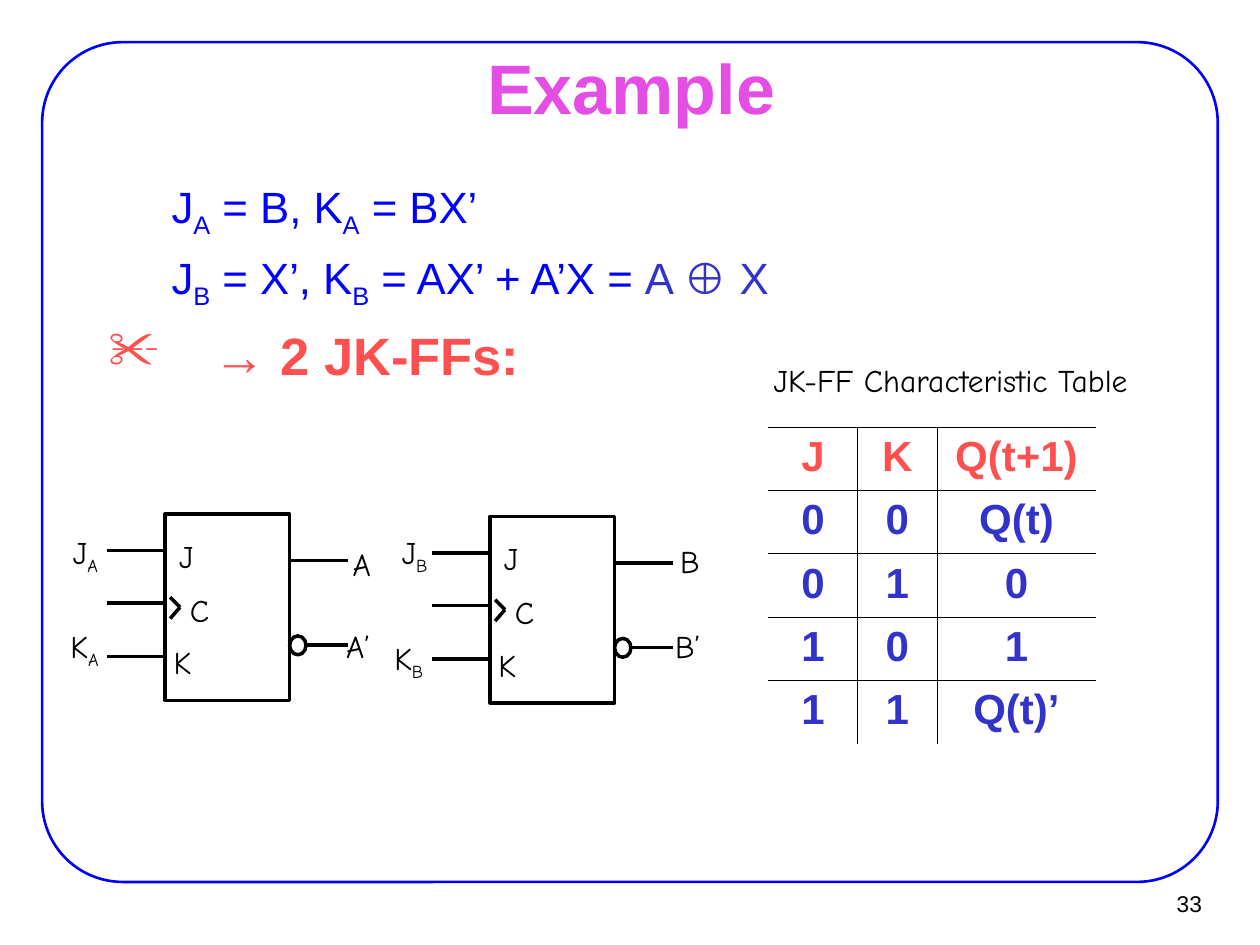
from lxml import etree
from pptx import Presentation
from pptx.dml.color import RGBColor
from pptx.enum.shapes import MSO_CONNECTOR, MSO_SHAPE
from pptx.enum.text import MSO_ANCHOR, MSO_AUTO_SIZE, PP_ALIGN
from pptx.oxml.ns import qn
from pptx.util import Cm, Pt

STRAIGHT = MSO_CONNECTOR.STRAIGHT
RECTANGLE, ROUNDED, OVAL = MSO_SHAPE.RECTANGLE, MSO_SHAPE.ROUNDED_RECTANGLE, MSO_SHAPE.OVAL
TOP, MIDDLE = MSO_ANCHOR.TOP, MSO_ANCHOR.MIDDLE
LEFT, CENTER, RIGHT = PP_ALIGN.LEFT, PP_ALIGN.CENTER, PP_ALIGN.RIGHT
FIT, FIXED = MSO_AUTO_SIZE.SHAPE_TO_FIT_TEXT, MSO_AUTO_SIZE.NONE

BLACK, BLUE, INDIGO, RED, PINK = "000000", "0000FF", "3333CC", "FF5050", "E44EE4"
SANS, COMIC = "Arial", "Comic Neue"
BOX_WIDTH, BOX_HEIGHT = 2.51, 3.76
PIN_X = 3.68


def color(value):
    """Turn a hex string into a colour."""
    return RGBColor.from_string(value)


def add_run(paragraph, text, size, value, font=SANS, bold=False, subscript=False):
    """Append one formatted run."""
    run = paragraph.add_run()
    run.text = text
    run.font.name = font
    run.font.size = Pt(size)
    run.font.bold = bold
    run.font.color.rgb = color(value)
    if subscript:
        run.font._element.set("baseline", "-25000")


def add_frame(slide, left, top, width, height, insets, wrap=True, anchor=TOP, fit=FIXED):
    """Add an empty text box and return its text frame."""
    frame = slide.shapes.add_textbox(Cm(left), Cm(top), Cm(width), Cm(height)).text_frame
    frame.margin_left = frame.margin_right = Cm(insets[0])
    frame.margin_top = frame.margin_bottom = Cm(insets[1])
    frame.word_wrap = wrap
    frame.vertical_anchor = anchor
    frame.auto_size = fit
    return frame


def add_label(slide, text, left, top, width, subscript="", align=LEFT):
    """Add a diagram label with an optional subscript."""
    height = 1.12 if subscript else 1.02
    frame = add_frame(slide, left, top, width, height, (0.25, 0.13), wrap=False, fit=FIT)
    paragraph = frame.paragraphs[0]
    paragraph.alignment = align
    add_run(paragraph, text, 18, BLACK, COMIC)
    if subscript:
        add_run(paragraph, subscript, 18, BLACK, COMIC, subscript=True)


def add_outline(slide, kind, left, top, width, height, value=BLACK, weight=2):
    """Add an unfilled preset shape."""
    shape = slide.shapes.add_shape(kind, Cm(left), Cm(top), Cm(width), Cm(height))
    shape.shadow.inherit = False
    shape.fill.background()
    shape.line.color.rgb = color(value)
    shape.line.width = Pt(weight)
    return shape


def add_line(slide, start_x, start_y, end_x, end_y):
    """Add a plain black line."""
    line = slide.shapes.add_connector(STRAIGHT, Cm(start_x), Cm(start_y), Cm(end_x), Cm(end_y))
    line.line.color.rgb = color(BLACK)
    line.line.width = Pt(2)
    etree.SubElement(line._element.spPr, qn("a:effectLst"))


def add_flip_flop(slide, left, top):
    """Draw one JK flip-flop with its pins, clock mark and inner labels."""
    add_outline(slide, RECTANGLE, left, top, BOX_WIDTH, BOX_HEIGHT)
    for offset in (0.74, 1.80, 2.87):
        add_line(slide, left - 1.17, top + offset, left, top + offset)
    for start, offset in ((BOX_WIDTH, 0.94), (BOX_WIDTH + 0.33, 2.64)):
        add_line(slide, left + start, top + offset, left + PIN_X, top + offset)
    add_outline(slide, OVAL, left + BOX_WIDTH, top + 2.46, 0.33, 0.38)
    for offset in (1.68, 2.11):
        add_line(slide, left + 0.1, top + offset, left + 0.3, top + 1.88)
    for text, x, y, width in (("J", 0.03, 0.33, 0.79), ("K", -0.08, 2.48, 0.86), ("C", 0.25, 1.42, 0.89)):
        add_label(slide, text, left + x, top + y, width)


def add_equation(paragraph, terms, space):
    """Write an equation from (text, subscript) pairs."""
    properties = paragraph._p.get_or_add_pPr()
    properties.set("marL", str(Cm(2.06)))
    properties.set("indent", str(Cm(-0.79)))
    etree.SubElement(properties, qn("a:buNone"))
    paragraph.space_before = Pt(space)
    for text, subscript in terms:
        add_run(paragraph, text, 25, BLUE)
        if subscript:
            add_run(paragraph, subscript, 25, BLUE, subscript=True)


def add_body(slide):
    """Add the two equations and the bulleted conclusion."""
    frame = add_frame(slide, 1.91, 3.48, 21.59, 7.24, (0.28, 0.15))
    add_equation(frame.paragraphs[0], [("J", "A"), (" = B, K", "A"), (" = BX’", "")], 0)
    second = frame.add_paragraph()
    add_equation(second, [("J", "B"), (" = X’, K", "B"), (" = AX’ + A’X = ", "")], 6.2)
    add_run(second, "A ⊕ X", 25, INDIGO)
    conclusion = frame.add_paragraph()
    properties = conclusion._p.get_or_add_pPr()
    properties.set("marL", str(Cm(2.11)))
    properties.set("indent", str(Cm(-2.11)))
    bullet_color = etree.SubElement(properties, qn("a:buClr"))
    etree.SubElement(bullet_color, qn("a:srgbClr"), val=RED)
    etree.SubElement(properties, qn("a:buChar"), char="✂")
    conclusion.space_before = Pt(7.5)
    add_run(conclusion, "→ 2 JK-FFs:", 30, RED, bold=True)


def set_borders(cell, visible):
    """Draw the visible sides of a cell and clear the others."""
    properties = cell._tc.get_or_add_tcPr()
    for index, side in enumerate("LRTB"):
        border = etree.Element(qn(f"a:ln{side}"), w=str(Pt(0.45)))
        if side in visible:
            fill = etree.SubElement(border, qn("a:solidFill"))
            etree.SubElement(fill, qn("a:srgbClr"), val=BLACK)
        else:
            etree.SubElement(border, qn("a:noFill"))
        properties.insert(index, border)


def add_truth_table(slide, rows):
    """Add the characteristic table, ruled inside and along its top."""
    widths = (1.8, 1.6, 3.2)
    last_row, last_column = len(rows) - 1, len(widths) - 1
    table = slide.shapes.add_table(
        len(rows), len(widths), Cm(15.49), Cm(8.61), Cm(sum(widths)), Cm(1.27 * len(rows))
    ).table
    table.first_row = table.horz_banding = False
    for column, width in zip(table.columns, widths):
        column.width = Cm(width)
    for row_index, row in enumerate(rows):
        for column_index, text in enumerate(row):
            cell = table.cell(row_index, column_index)
            cell.fill.background()
            cell.margin_left = cell.margin_right = Cm(0.25)
            cell.margin_top = cell.margin_bottom = Cm(0.13)
            paragraph = cell.text_frame.paragraphs[0]
            paragraph.alignment = CENTER
            add_run(paragraph, text, 24, INDIGO if row_index else RED, bold=True)
            sides = "T" + ("L" if column_index else "")
            sides += "R" if column_index < last_column else ""
            sides += "B" if row_index < last_row else ""
            set_borders(cell, sides)


def main():
    """Build the slide and save it."""
    presentation = Presentation()
    presentation.slide_width, presentation.slide_height = Cm(25.4), Cm(19.05)
    slide = presentation.slides.add_slide(presentation.slide_layouts[6])

    border = add_outline(slide, ROUNDED, 0.85, 0.85, 23.7, 16.93, BLUE, 1.5)
    border.adjustments[0] = 0.096
    number = add_frame(slide, 22.91, 17.75, 1.55, 0.94, (0.23, 0.1), wrap=False, anchor=MIDDLE)
    number.paragraphs[0].alignment = RIGHT
    add_run(number.paragraphs[0], "33", 13, BLACK)
    title = add_frame(slide, 1.93, 1.12, 21.59, 1.24, (0.28, 0.15), anchor=MIDDLE)
    title.paragraphs[0].alignment = CENTER
    add_run(title.paragraphs[0], "Example", 40, PINK, bold=True)
    add_body(slide)

    add_flip_flop(slide, 3.33, 10.36)
    add_flip_flop(slide, 9.88, 10.41)
    for text, left, top, width, subscript in (
        ("J", 1.22, 10.62, 1.02, "A"),
        ("K", 1.17, 12.52, 1.07, "A"),
        ("J", 7.85, 10.62, 1.02, "B"),
        ("K", 7.7, 12.75, 1.09, "B"),
        ("A", 6.86, 10.85, 0.86, ""),
        ("A’", 6.73, 12.52, 0.99, ""),
        ("B", 13.46, 10.8, 0.89, ""),
        ("B’", 13.36, 12.52, 1.02, ""),
    ):
        add_label(slide, text, left, top, width, subscript)

    add_truth_table(slide, [
        ("J", "K", "Q(t+1)"),
        ("0", "0", "Q(t)"),
        ("0", "1", "0"),
        ("1", "0", "1"),
        ("1", "1", "Q(t)’"),
    ])
    add_label(slide, "JK-FF Characteristic Table", 15.29, 7.14, 7.75, align=CENTER)
    presentation.save("out.pptx")


if __name__ == "__main__":
    main()
